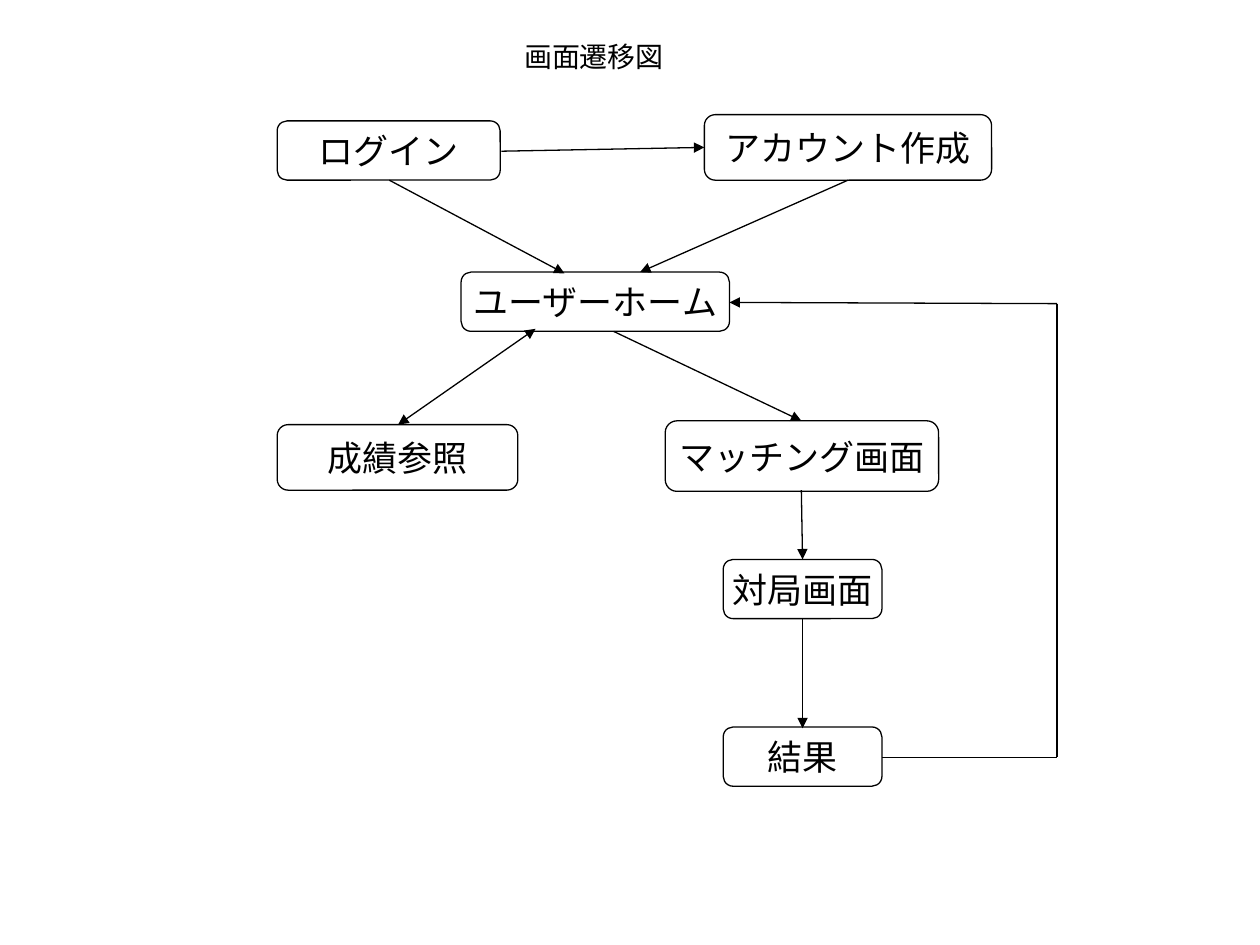
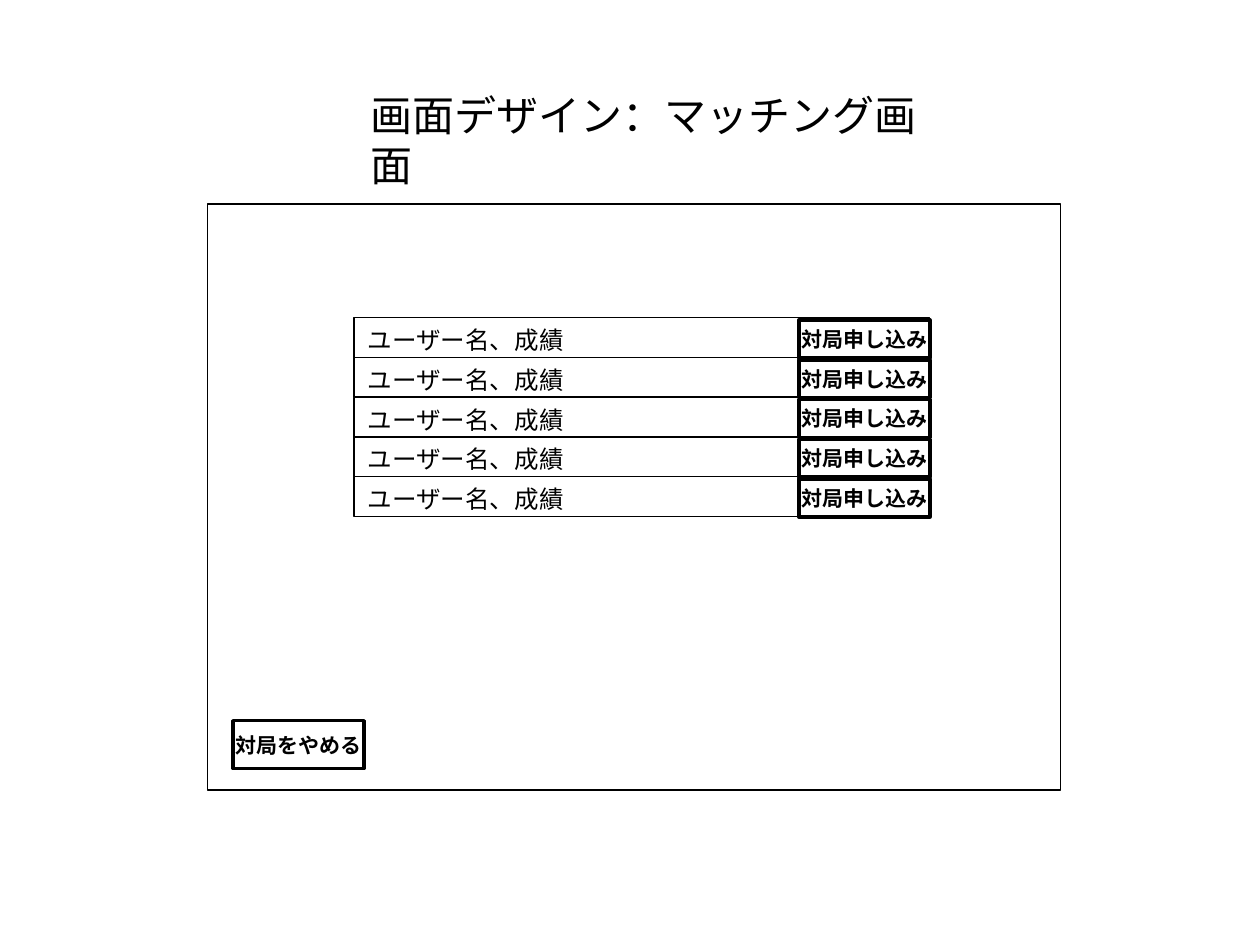
from typing import NamedTuple

from lxml.etree import SubElement
from pptx import Presentation
from pptx.dml.color import RGBColor
from pptx.enum.shapes import MSO_CONNECTOR, MSO_SHAPE
from pptx.enum.text import MSO_ANCHOR, MSO_AUTO_SIZE, PP_ALIGN
from pptx.oxml.ns import qn
from pptx.util import Inches, Pt

BLACK = RGBColor(0x00, 0x00, 0x00)
LATIN_FONT = "Times New Roman"
JAPANESE_FONT = "Noto Sans CJK JP"
TITLE_ONLY = 5
THIN, THICK = 0.75, 2

PLAIN_FRAME = dict(vertical_anchor=MSO_ANCHOR.TOP, word_wrap=True,
                   auto_size=MSO_AUTO_SIZE.SHAPE_TO_FIT_TEXT)
LABEL_FRAME = dict(vertical_anchor=MSO_ANCHOR.MIDDLE, word_wrap=False,
                   auto_size=MSO_AUTO_SIZE.NONE)
SCREEN_FONT = dict(name=LATIN_FONT, size=Pt(20), bold=False)
USER_FONT = dict(name=LATIN_FONT, size=Pt(14), bold=False)
BUTTON_FONT = dict(name=JAPANESE_FONT, size=Pt(12), bold=True)


class Area(NamedTuple):
    left: float
    top: float
    width: float
    height: float

    def lengths(self) -> list:
        return [Inches(value) for value in self]


class Screen(NamedTuple):
    name: str
    area: Area


class Arrow(NamedTuple):
    start: tuple
    end: tuple
    at_start: bool = False
    at_end: bool = True


SCREENS = [
    Screen("ユーザーホーム", Area(3.66, 2.16, 2.13, 0.47)),
    Screen("対局画面", Area(5.74, 4.44, 1.26, 0.47)),
    Screen("ログイン", Area(2.2, 0.96, 1.77, 0.47)),
    Screen("成績参照", Area(2.2, 3.37, 1.91, 0.52)),
    Screen("結果", Area(5.74, 5.77, 1.26, 0.47)),
    Screen("マッチング画面", Area(5.28, 3.34, 2.17, 0.56)),
    Screen("アカウント作成", Area(5.59, 0.91, 2.28, 0.52)),
]
RETURN_BOTTOM, RETURN_TOP = (8.39, 6.01), (8.39, 2.41)
ARROWS = [
    Arrow((3.09, 1.43), (4.48, 2.17)),
    Arrow((6.73, 1.43), (5.08, 2.16)),
    Arrow((4.25, 2.61), (3.16, 3.37), at_start=True),
    Arrow((4.87, 2.63), (6.36, 3.34)),
    Arrow((6.36, 3.89), (6.37, 4.44)),
    Arrow((6.37, 4.91), (6.37, 5.78)),
    Arrow((7, 6.01), RETURN_BOTTOM, at_end=False),
    Arrow(RETURN_BOTTOM, RETURN_TOP, at_end=False),
    Arrow(RETURN_TOP, (5.79, 2.4)),
    Arrow((3.98, 1.2), (5.59, 1.17)),
]

WINDOW = Area(1.65, 1.62, 6.77, 4.65)
USER_LIST = Area(2.81, 2.52, 4.57, 1.58)
USER_COUNT = 5
BUTTON_WIDTH, BUTTON_HEIGHT = 1.04, 0.3


def apply(target, values: dict) -> None:
    for name, value in values.items():
        setattr(target, name, value)


def write(box, text: str, font: dict, frame: dict, align=PP_ALIGN.LEFT) -> None:
    apply(box.text_frame, frame)
    para = box.text_frame.paragraphs[0]
    para.alignment = align
    span = para.add_run()
    span.text = text
    span.font.color.rgb = BLACK
    apply(span.font, font)
    SubElement(span.font._element, qn("a:ea"), typeface=JAPANESE_FONT)


def add_page(deck, title: str, area: Area, size: int):
    page = deck.slides.add_slide(deck.slide_layouts[TITLE_ONLY])
    box = page.shapes.title
    write(box, title, dict(name=LATIN_FONT, size=Pt(size), bold=False), PLAIN_FRAME)
    apply(box, dict(zip(Area._fields, area.lengths())))
    return page


def add_outline(page, area: Area, kind=MSO_SHAPE.RECTANGLE, weight: float = THIN):
    box = page.shapes.add_shape(kind, *area.lengths())
    box.shadow.inherit = False
    box.fill.background()
    box.line.color.rgb = BLACK
    box.line.width = Pt(weight)
    return box


def add_button(page, text: str, area: Area) -> None:
    box = add_outline(page, area, weight=THICK)
    write(box, text, BUTTON_FONT, LABEL_FRAME, PP_ALIGN.CENTER)


def add_screen(page, screen: Screen) -> None:
    box = add_outline(page, screen.area, MSO_SHAPE.ROUNDED_RECTANGLE)
    write(box, screen.name, SCREEN_FONT, LABEL_FRAME, PP_ALIGN.CENTER)


def add_arrow(page, arrow: Arrow) -> None:
    points = [Inches(value) for value in arrow.start + arrow.end]
    line = page.shapes.add_connector(MSO_CONNECTOR.STRAIGHT, *points)
    line.line.color.rgb = BLACK
    line.line.width = Pt(THIN)
    outline = line.line._get_or_add_ln()
    for tag, shown in (("a:headEnd", arrow.at_start), ("a:tailEnd", arrow.at_end)):
        if shown:
            SubElement(outline, qn(tag), type="triangle")
    SubElement(line._element.spPr, qn("a:effectLst"))


def add_transition_page(deck) -> None:
    page = add_page(deck, "画面遷移図", Area(4.06, 0.26, 1.34, 0.37), 16)
    for screen in SCREENS:
        add_screen(page, screen)
    for arrow in ARROWS:
        add_arrow(page, arrow)


def add_matching_page(deck) -> None:
    page = add_page(deck, "画面デザイン：マッチング画面", Area(2.84, 0.66, 4.67, 0.9), 24)
    add_outline(page, WINDOW)
    left, top, width, height = USER_LIST
    pitch = height / USER_COUNT
    row_tops = [top + index * pitch for index in range(USER_COUNT)]
    for row_top in row_tops:
        add_outline(page, Area(left, row_top, width, pitch))
    for row_top in row_tops:
        box = page.shapes.add_textbox(*Area(left + 0.01, row_top + 0.01, 1.81, 0.34).lengths())
        write(box, "ユーザー名、成績", USER_FONT, PLAIN_FRAME)
    for row_top in row_tops:
        button_left = left + width - BUTTON_WIDTH
        add_button(page, "対局申し込み",
                   Area(button_left, row_top + 0.02, BUTTON_WIDTH, BUTTON_HEIGHT))
    add_button(page, "対局をやめる", Area(1.85, 5.72, BUTTON_WIDTH, 0.38))


def main() -> None:
    deck = Presentation()
    deck.slide_width, deck.slide_height = Inches(10), Inches(7.5)
    add_transition_page(deck)
    add_matching_page(deck)
    deck.save("out.pptx")


if __name__ == "__main__":
    main()
